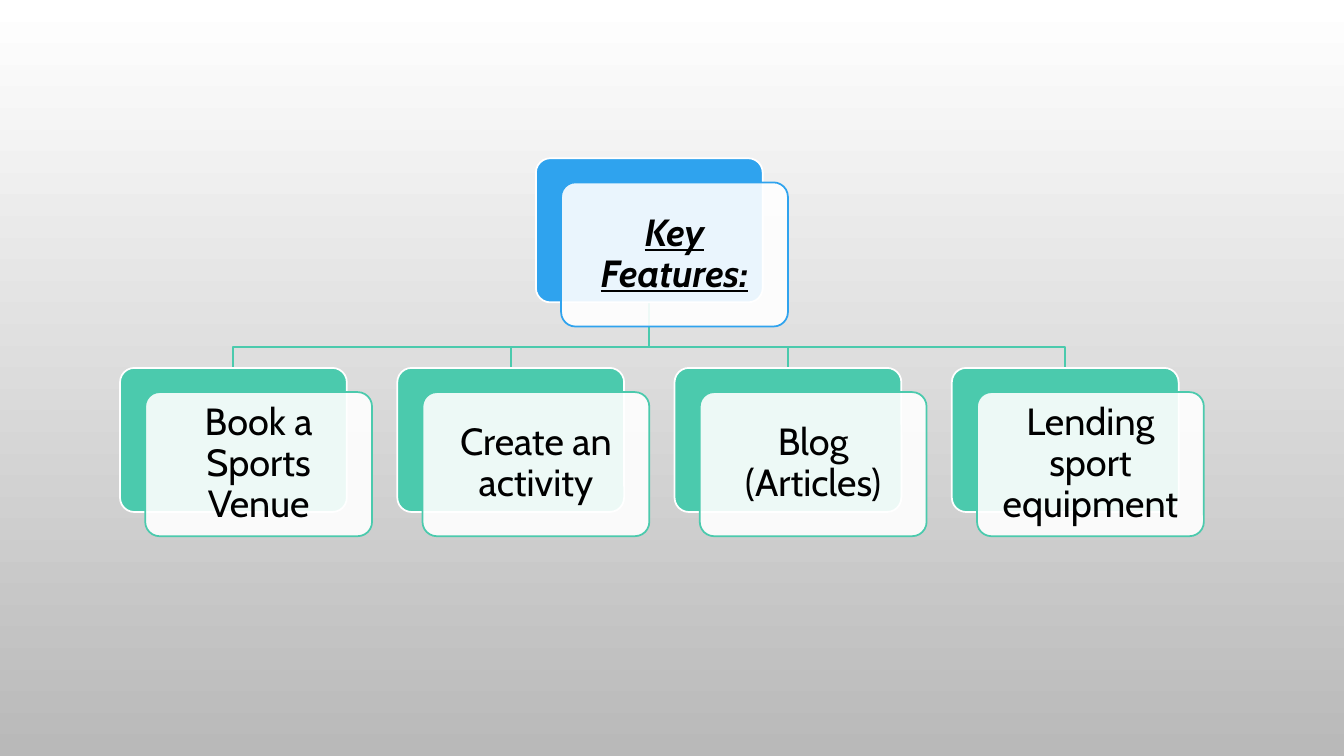
import pptx
import pptx.util
import pptx.dml.color
import pptx.enum.shapes
import pptx.enum.text
import lxml.etree
from pptx.oxml.ns import qn

Inches = pptx.util.Inches
Pt = pptx.util.Pt


def rgb(value):
    return pptx.dml.color.RGBColor.from_string(value)


def add_card(x, y, fill, outline):
    sp = s.shapes.add_shape(
        pptx.enum.shapes.MSO_SHAPE.ROUNDED_RECTANGLE,
        Inches(x), Inches(y), Inches(CARD_W), Inches(CARD_H))
    sp.adjustments[0] = 0.1
    sp.shadow.inherit = False
    sp.fill.solid()
    sp.fill.fore_color.rgb = rgb(fill)
    sp.line.color.rgb = rgb(outline)
    sp.line.width = Pt(1.25)
    return sp


BLUE, GREEN, WHITE = "2FA3EE", "4BCAAD", "FFFFFF"
CARD_W, CARD_H = 2.25, 1.43
LEFT, PITCH = 1.19, 2.75
ROOT_Y, CHILD_Y, BUS_Y = 1.57, 3.65, 3.44
SHIFT_X, SHIFT_Y = 0.25, 0.24
ROOT_COL = 1.5

prs = pptx.Presentation()
prs.slide_width, prs.slide_height = Inches(13.33), Inches(7.5)
s = prs.slides.add_slide(prs.slide_layouts[6])

bg = s.background.fill
bg.gradient()
bg.gradient_angle = 270
for stop, (position, color) in zip(bg.gradient_stops, [(0, WHITE), (1, "B9B9B9")]):
    stop.position = position
    stop.color.rgb = rgb(color)

features = ["Book a Sports Venue", "Create an activity",
            "Blog (Articles)", "Lending sport equipment"]
root_format = {"bold": True, "italic": True, "underline": True}
cards = [("Key Features:", ROOT_COL, ROOT_Y, BLUE, root_format)]
cards += [(text, col, CHILD_Y, GREEN, {}) for col, text in enumerate(features)]

root_x = LEFT + ROOT_COL * PITCH + CARD_W / 2
for col in reversed(range(len(features))):
    x = LEFT + col * PITCH + CARD_W / 2
    fb = s.shapes.build_freeform(
        Inches(root_x), Inches(ROOT_Y + CARD_H), scale=1.0)
    fb.add_line_segments(
        [(Inches(px), Inches(py)) for px, py in
         [(root_x, BUS_Y), (x, BUS_Y), (x, CHILD_Y)]], close=False)
    sp = fb.convert_to_shape()
    sp.shadow.inherit = False
    sp.fill.background()
    sp.line.color.rgb = rgb(GREEN)
    sp.line.width = Pt(1.25)

for text, col, y, color, extra in cards:
    x = LEFT + col * PITCH
    add_card(x, y, color, WHITE)
    sp = add_card(x + SHIFT_X, y + SHIFT_Y, WHITE, color)
    clr = sp.element.xpath("./p:spPr/a:solidFill/a:srgbClr")[0]
    lxml.etree.SubElement(clr, qn("a:alpha"), val="90000")
    tf = sp.text_frame
    frame_format = {"word_wrap": True,
                    "vertical_anchor": pptx.enum.text.MSO_ANCHOR.MIDDLE}
    for side in ("left", "right", "top", "bottom"):
        frame_format["margin_" + side] = Inches(0.11)
    for name, value in frame_format.items():
        setattr(tf, name, value)
    p = tf.paragraphs[0]
    p.alignment = pptx.enum.text.PP_ALIGN.CENTER
    p.line_spacing = 0.9
    p.space_after = Pt(9.45)
    r = p.add_run()
    r.text = text
    r.font.color.rgb = rgb("000000")
    for name, value in {"name": "Cabin", "size": Pt(27), **extra}.items():
        setattr(r.font, name, value)

prs.save("out.pptx")
